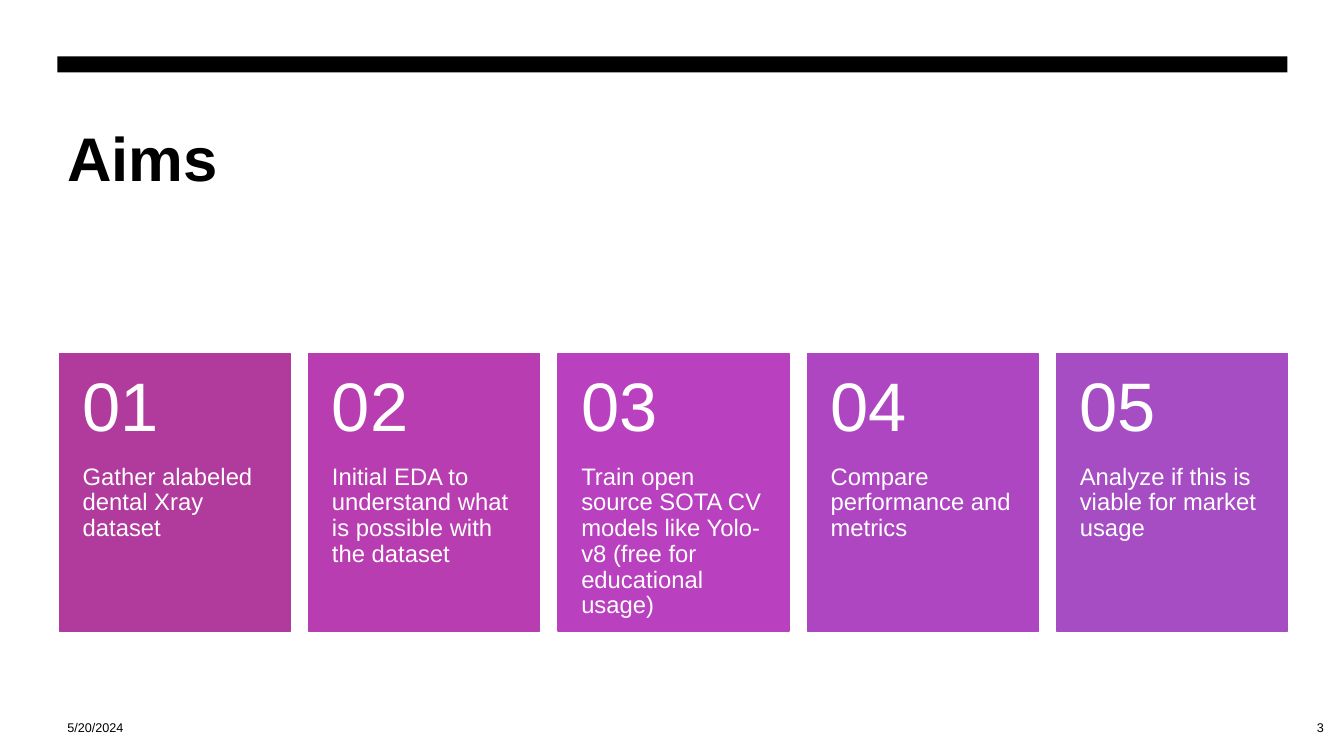
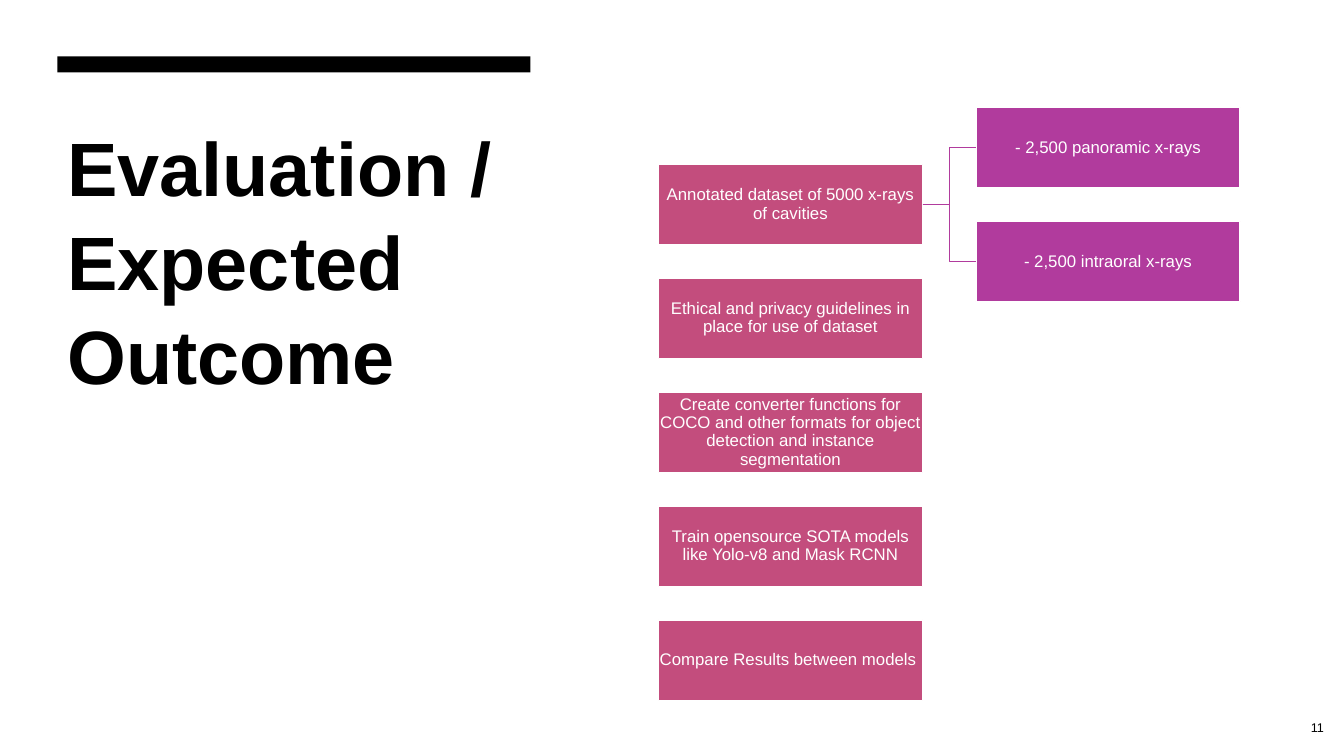
from lxml.etree import SubElement
from pptx import Presentation
from pptx.dml.color import RGBColor
from pptx.enum.shapes import MSO_CONNECTOR, MSO_SHAPE
from pptx.enum.text import MSO_ANCHOR, PP_ALIGN
from pptx.oxml.ns import qn
from pptx.util import Inches, Pt

COLORS = {
    "black": "000000",
    "white": "FFFFFF",
    "rose": "C34D7D",
    "magenta": "B13B9D",
    "orchid": "B83DB0",
    "fuchsia": "B940BE",
    "violet": "AF46C1",
    "purple": "A64DC3",
}
FONT = "Arial"
MARGIN = 0.57


def write(shape, text, size, color="black", bold=False, align=PP_ALIGN.LEFT,
          anchor=MSO_ANCHOR.TOP, spacing=1.0, insets=(0.1, 0.05, 0.1, 0.05)):
    frame = shape.text_frame
    frame.word_wrap = True
    frame.vertical_anchor = anchor
    (frame.margin_left, frame.margin_top,
     frame.margin_right, frame.margin_bottom) = map(Inches, insets)
    paragraph = frame.paragraphs[0]
    paragraph.alignment = align
    paragraph.line_spacing = spacing
    run = paragraph.add_run()
    run.text = text
    run.font.name = FONT
    run.font.size = Pt(size)
    run.font.bold = bold
    run.font.color.rgb = RGBColor.from_string(COLORS[color])


def add_block(slide, left, top, width, height, fill, line=None):
    block = slide.shapes.add_shape(MSO_SHAPE.RECTANGLE, Inches(left), Inches(top),
                                   Inches(width), Inches(height))
    block.shadow.inherit = False
    block.fill.solid()
    block.fill.fore_color.rgb = RGBColor.from_string(COLORS[fill])
    if line:
        block.line.color.rgb = RGBColor.from_string(COLORS[line])
        block.line.width = Pt(1)
    else:
        block.line.fill.background()
    return block


deck = Presentation()
deck.slide_width = Inches(13.33)
deck.slide_height = Inches(7.5)

headers = [
    ("Aims", 44, 12.2, 1.6, "3"),
    ("Evaluation / Expected Outcome", 54, 4.69, 3.68, "11"),
]
slides = []
for title, title_size, width, title_height, number in headers:
    slide = deck.slides.add_slide(deck.slide_layouts[6])
    slides.append(slide)
    add_block(slide, MARGIN, 0.56, width, 0.16, "black")
    heading = slide.shapes.add_textbox(Inches(MARGIN), Inches(1.07),
                                       Inches(width), Inches(title_height))
    write(heading, title, title_size, bold=True, spacing=1.04,
          insets=(0.1, 0.09, 0.1, 0.05))
    page_number = slide.shapes.add_textbox(Inches(12.53), Inches(7.02),
                                           Inches(0.7), Inches(0.4))
    write(page_number, number, 9, align=PP_ALIGN.RIGHT, anchor=MSO_ANCHOR.MIDDLE)

aims_slide, outcome_slide = slides

date = aims_slide.shapes.add_textbox(Inches(MARGIN), Inches(7.02), Inches(3), Inches(0.4))
write(date, "5/20/2024", 9, anchor=MSO_ANCHOR.MIDDLE)

aims = [
    ("Gather alabeled dental Xray dataset", "magenta"),
    ("Initial EDA to understand what is possible with the dataset", "orchid"),
    ("Train open source SOTA CV models like Yolo-v8 (free for educational usage)", "fuchsia"),
    ("Compare performance and metrics", "violet"),
    ("Analyze if this is viable for market usage", "purple"),
]
cards_left, cards_right, card_top = 0.59, 12.77, 3.51
card_width, card_height, number_height = 2.29, 2.75, 1.1
card_step = (cards_right - cards_left - card_width) / (len(aims) - 1)
for index, (aim, color) in enumerate(aims):
    left = cards_left + index * card_step
    card = add_block(aims_slide, left, card_top, card_width, card_height, color, color)
    write(card, aim, 17, "white", spacing=0.9, insets=(0.23, number_height, 0.23, 0))
    aim_number = aims_slide.shapes.add_textbox(Inches(left), Inches(card_top),
                                               Inches(card_width), Inches(number_height))
    write(aim_number, f"{index + 1:02d}", 49, "white", anchor=MSO_ANCHOR.MIDDLE,
          spacing=0.9, insets=(0.23, 0.18, 0.23, 0.18))

outcomes = [
    "Annotated dataset of 5000 x-rays of cavities",
    "Ethical and privacy guidelines in place for use of dataset",
    "Create converter functions for COCO and other formats for object detection "
    "and instance segmentation",
    "Train opensource SOTA models like Yolo-v8 and Mask RCNN",
    "Compare Results between models ",
]
dataset_parts = ["- 2,500 panoramic x-rays", "- 2,500 intraoral x-rays"]
node_width, node_height, node_step = 2.62, 0.8, 1.13
outcome_top = 1.63
columns = [
    (outcomes, 6.53, outcome_top, "rose"),
    (dataset_parts, 9.68, outcome_top - node_step / 2, "magenta"),
]
node_columns = []
for labels, left, top, color in columns:
    nodes = []
    for index, label in enumerate(labels):
        node = add_block(outcome_slide, left, top + index * node_step,
                         node_width, node_height, color, "white")
        write(node, label, 12, "white", align=PP_ALIGN.CENTER, anchor=MSO_ANCHOR.MIDDLE,
              spacing=0.9, insets=(0.01, 0.01, 0.01, 0.01))
        nodes.append(node)
    node_columns.append(nodes)

outcome_nodes, part_nodes = node_columns
for part_node in part_nodes:
    branch = outcome_slide.shapes.add_connector(MSO_CONNECTOR.ELBOW, 0, 0, 0, 0)
    branch.begin_connect(outcome_nodes[0], 3)
    branch.end_connect(part_node, 1)
    branch.line.color.rgb = RGBColor.from_string(COLORS["magenta"])
    branch.line.width = Pt(1)
    SubElement(branch.element.spPr, qn("a:effectLst"))

deck.save("out.pptx")
